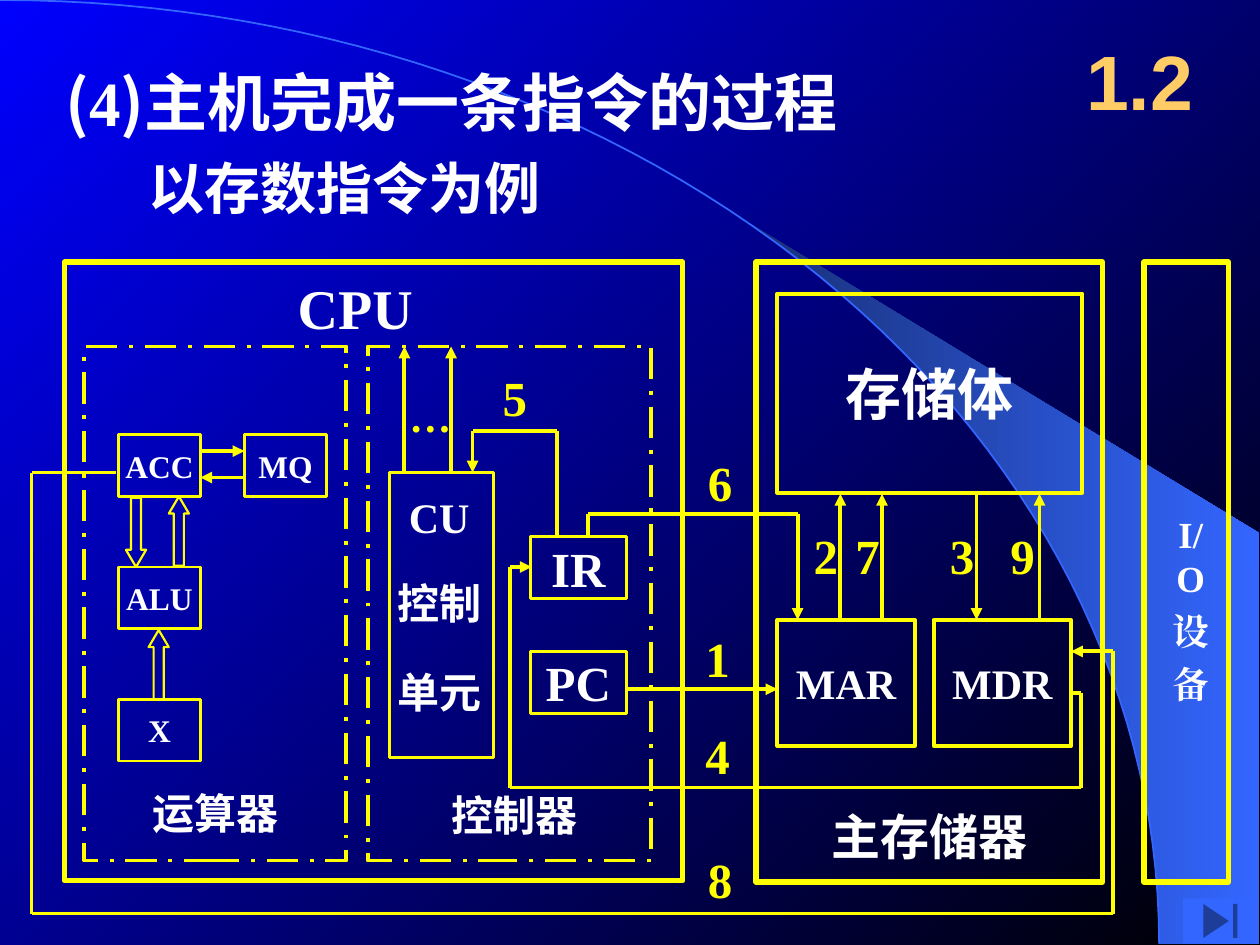
import dataclasses
import itertools
import math

import lxml.etree
import pptx
import pptx.dml.color
import pptx.enum.dml
import pptx.enum.shapes
import pptx.enum.text
import pptx.oxml.ns
import pptx.util

KIND = pptx.enum.shapes.MSO_SHAPE
ALIGN = pptx.enum.text.PP_ALIGN
ANCHOR = pptx.enum.text.MSO_ANCHOR
DASH = pptx.enum.dml.MSO_LINE.LONG_DASH_DOT
YELLOW, WHITE, BLUE = "FFFF00", "FFFFFF", "3366FF"
TIMES, NOTO = "Times New Roman", "Noto Sans CJK SC"
UNIT = 2.54  # centimetres in one layout unit


def cm(num):
    return pptx.util.Cm(num * UNIT)


def color(code):
    return pptx.dml.color.RGBColor.from_string(code)


@dataclasses.dataclass
class Box:
    x: float
    y: float
    w: float
    h: float

    def sub(self, x, y, w, h):
        return Box(self.x + x, self.y + y, w, h)

    def point(self, x, y):
        return self.x + x, self.y + y

    def lengths(self):
        return [cm(num) for num in (self.x, self.y, self.w, self.h)]


def add_xml(parent, tag, **attrs):
    return lxml.etree.SubElement(parent, pptx.oxml.ns.qn(tag), attrs)


def write(frame, *paras, size=24, font=TIMES, ink=WHITE, align=ALIGN.CENTER,
          anchor=ANCHOR.TOP, gap=0, wrap=True):
    """Each paragraph is a string or a list of (text, font) runs."""
    frame.word_wrap = wrap
    frame.vertical_anchor = anchor
    frame.margin_left = frame.margin_right = 0
    frame.margin_top = frame.margin_bottom = 0
    for i, runs in enumerate(paras):
        para = frame.add_paragraph() if i else frame.paragraphs[0]
        para.alignment = align
        para.space_before = pptx.util.Pt(gap if i else 0)
        for text, face in [(runs, font)] if isinstance(runs, str) else runs:
            run = para.add_run()
            run.text = text
            run.font.name = face
            run.font.size = pptx.util.Pt(size)
            run.font.bold = True
            run.font.color.rgb = color(ink)
            add_xml(run.font.fill._xPr, "a:ea", typeface=face)


def label(slide, box, *paras, **fmt):
    write(slide.shapes.add_textbox(*box.lengths()).text_frame, *paras, **fmt)


def stroke(line, width):
    line.color.rgb = color(YELLOW)
    line.width = pptx.util.Pt(width)


def block(slide, box, text="", width=1.64, kind=KIND.RECTANGLE, dash=None, **fmt):
    shape = slide.shapes.add_shape(kind, *box.lengths())
    shape.shadow.inherit = False
    shape.fill.background()
    stroke(shape.line, width)
    if dash:
        shape.line.dash_style = dash
    if text:
        write(shape.text_frame, text, anchor=ANCHOR.MIDDLE, **fmt)
    return shape


def route(slide, box, *points):
    """Straight segments through the points, with an arrowhead at the last."""
    spots = [box.point(*point) for point in points]
    for start, end in itertools.pairwise(spots):
        wire = slide.shapes.add_connector(
            pptx.enum.shapes.MSO_CONNECTOR.STRAIGHT, *map(cm, start + end))
        stroke(wire.line, 2.25)
        if end is spots[-1]:
            add_xml(wire.line._get_or_add_ln(), "a:tailEnd", type="triangle")
        add_xml(wire._element.spPr, "a:effectLst")


def blend(fill, angle, *codes):
    fill.gradient()
    fill.gradient_angle = angle
    for stop, code in zip(fill.gradient_stops, codes):
        stop.color.rgb = color(code)


def outline(slide, points, close):
    spots = [(cm(x), cm(y)) for x, y in points]
    pen = slide.shapes.build_freeform(*spots[0])
    pen.add_line_segments(spots[1:], close=close)
    shape = pen.convert_to_shape()
    shape.shadow.inherit = False
    return shape


def backdrop(slide, box):
    blend(slide.background.fill, 315, "0000FF", "000000")

    def curve(first):
        turns = [math.radians(first + (90 - first) * i / 60) for i in range(61)]
        return [box.point(9.2 * math.sin(t), 7.49 * (1 - math.cos(t))) for t in turns]

    # Bright wedge beside the curve
    wedge = outline(slide, curve(39.8) + [box.point(9.99, 7.49), box.point(9.99, 4.23)], True)
    blend(wedge.fill, 0, "182F76", BLUE)
    wedge.line.fill.background()
    # Thin curve across the slide
    arc = outline(slide, curve(0), False)
    arc.fill.background()
    arc.line.color.rgb = color(BLUE)
    arc.line.width = pptx.util.Pt(1)


def heading(slide, box):
    title = slide.shapes.title
    title.left, title.top, title.width, title.height = box.sub(0, 0, 7.05, 0.6).lengths()
    write(title.text_frame, [("(", NOTO), ("4", TIMES), (")主机完成一条指令的过程", NOTO)],
          size=36, align=ALIGN.LEFT)
    title.element.getparent().append(title.element)  # above the backdrop
    label(slide, box.sub(0.66, 0.72, 5.06, 0.54), "以存数指令为例",
          size=32, font=NOTO, align=ALIGN.LEFT)
    label(slide, box.sub(7.9, -0.33, 1.25, 0.92), "1.2", size=44, font="Arial",
          ink="FFCC66", anchor=ANCHOR.MIDDLE)


def calc(slide, box):
    block(slide, box, width=2.25, dash=DASH)
    for text, x, y in (("ACC", 0.27, 0.7), ("MQ", 1.27, 0.7),
                       ("ALU", 0.27, 1.75), ("X", 0.27, 2.8)):
        block(slide, box.sub(x, y, 0.65, 0.49), text, size=18)
    route(slide, box, (0.92, 0.83), (1.27, 0.83))
    route(slide, box, (1.27, 1.04), (0.92, 1.04))
    for kind, x, y in ((KIND.DOWN_ARROW, 0.33, 1.2), (KIND.UP_ARROW, 0.67, 1.19),
                       (KIND.UP_ARROW, 0.51, 2.25)):
        arrow = block(slide, box.sub(x, y, 0.16, 0.55), width=1.25, kind=kind)
        arrow.adjustments[1] = 0.85
    label(slide, box.sub(0.54, 3.5, 1.36, 0.4), "运算器", font=NOTO, align=ALIGN.LEFT)


def control(slide, box):
    block(slide, box, width=2.25, dash=DASH)
    # Control unit and its outgoing signals
    block(slide, box.sub(0.17, 1, 0.83, 2.26))
    for text, y, font in (("CU", 1.15, TIMES), ("控制", 1.83, NOTO), ("单元", 2.54, NOTO)):
        label(slide, box.sub(0.15, y, 0.83, 0.4), text, font=font)
    for x in (0.29, 0.66):
        route(slide, box, (x, 1), (x, 0))
    label(slide, box.sub(0.33, 0.35, 0.33, 0.4), "…", ink=YELLOW, align=ALIGN.LEFT, wrap=False)
    # Registers
    for text, y in (("IR", 1.51), ("PC", 2.42)):
        block(slide, box.sub(1.29, y, 0.76, 0.49), text, size=28)
    label(slide, box.sub(0.66, 3.52, 1.42, 0.4), "控制器", font=NOTO, align=ALIGN.LEFT)


def cpu(slide, box):
    block(slide, box, width=3)
    label(slide, box.sub(1.85, 0.09, 0.92, 0.53), "CPU", size=32)
    calc(slide, box.sub(0.16, 0.67, 2.08, 4.08))
    control(slide, box.sub(2.41, 0.67, 2.25, 4.08))


def memory(slide, box):
    block(slide, box, width=3)
    block(slide, box.sub(0.17, 0.25, 2.42, 1.58), "存储体", width=2.25, size=32, font=NOTO)
    for text, x in (("MAR", 0.17), ("MDR", 1.41)):
        block(slide, box.sub(x, 2.84, 1.09, 1), text, width=2.25)
    label(slide, box.sub(0, 4.32, box.w, 0.47), "主存储器", size=28, font=NOTO)


def device(slide, box):
    block(slide, box, width=3)
    label(slide, box.sub(0.16, 1.98, 0.42, 1.2), "I/O", "设", "备", size=21, gap=5.2, wrap=False)


def steps(slide, box):
    """Numbered paths: digit, its corner, then the points of the path."""
    paths = (
        ("1", (5.5, 4.99), (4.98, 5.47), (6.17, 5.47)),
        ("2", (6.36, 4.17), (6.67, 4.92), (6.67, 3.92)),
        ("3", (7.44, 4.17), (7.75, 3.92), (7.75, 4.92)),
        ("4", (5.5, 5.76), (8.5, 5.5), (8.58, 5.5), (8.58, 6.25), (4.05, 6.25),
         (4.05, 4.5), (4.22, 4.5)),
        ("5", (3.89, 2.92), (4.42, 4.25), (4.42, 3.42), (3.75, 3.42), (3.75, 3.75)),
        ("6", (5.52, 3.59), (4.67, 4.25), (4.67, 4.08), (6.33, 4.08), (6.33, 4.92)),
        ("7", (6.69, 4.17), (7, 4.92), (7, 3.92)),
        ("8", (5.52, 6.74), (0.92, 3.75), (0.25, 3.75), (0.25, 7.25), (8.83, 7.25),
         (8.83, 5.17), (8.5, 5.17)),
        ("9", (7.92, 4.17), (8.25, 4.92), (8.25, 3.92)),
    )
    for digit, spot, *points in paths:
        route(slide, box, *points)
        label(slide, box.sub(*spot, 0.39, 0.47), digit, size=28, ink=YELLOW)


def button(slide, box):
    shape = block(slide, box, kind=KIND.ACTION_BUTTON_END)
    shape.fill.solid()
    shape.fill.fore_color.rgb = color(BLUE)
    shape.line.fill.background()


def main():
    deck = pptx.Presentation()
    deck.slide_width, deck.slide_height = cm(10), cm(7.5)
    slide = deck.slides.add_slide(deck.slide_layouts.get_by_name("Title Only"))
    page = Box(0, 0, 10, 7.5)
    backdrop(slide, page)
    heading(slide, page.sub(0.52, 0.5, 9.15, 1.3))
    steps(slide, page)
    button(slide, page.sub(9.39, 7.13, 0.59, 0.36))
    cpu(slide, page.sub(0.51, 2.08, 4.91, 4.91))
    memory(slide, page.sub(6, 2.08, 2.75, 4.92))
    device(slide, page.sub(9.08, 2.08, 0.67, 4.92))
    deck.save("out.pptx")


if __name__ == "__main__":
    main()
